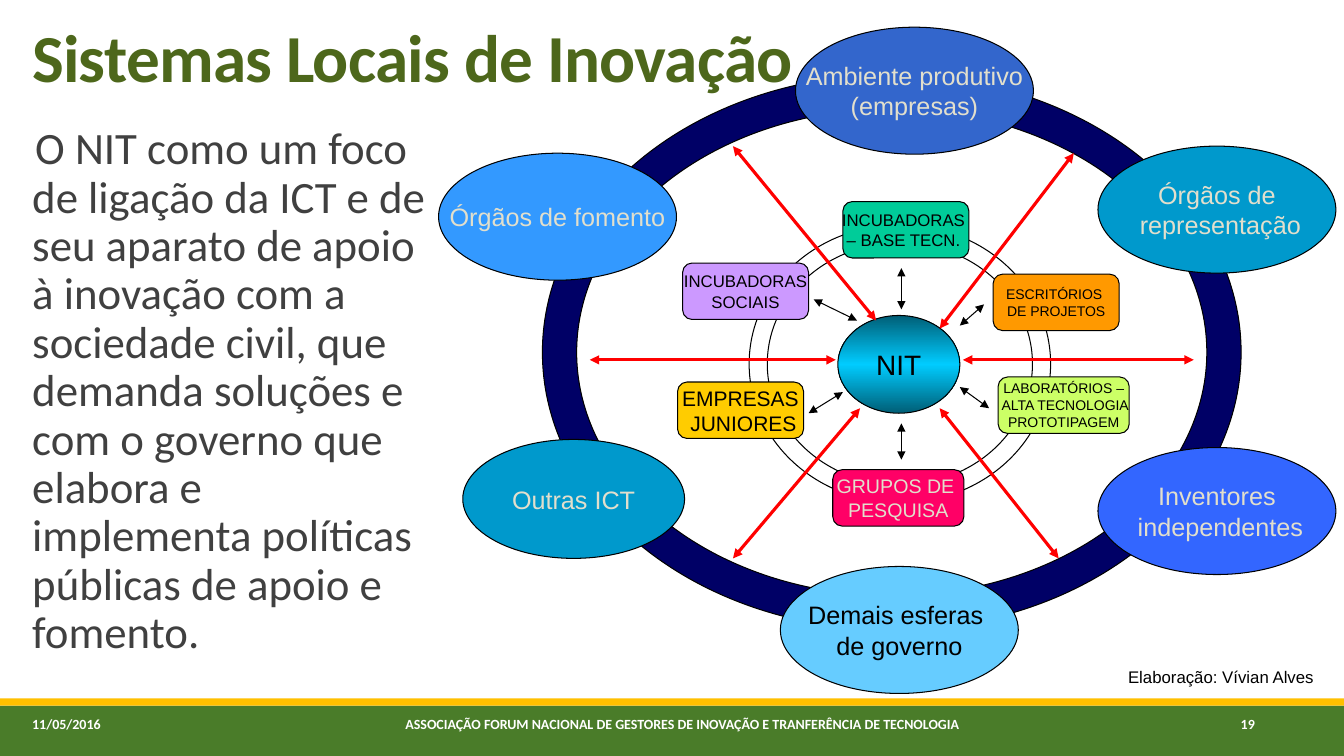
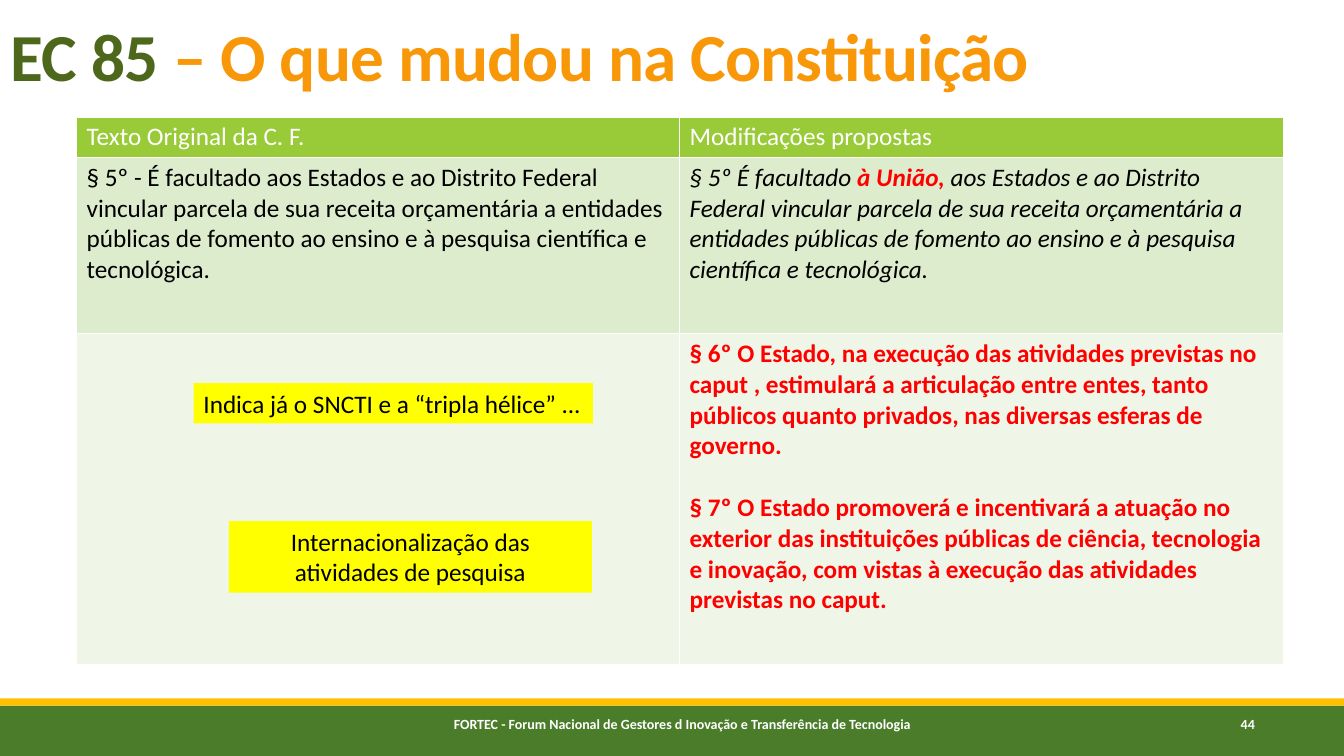
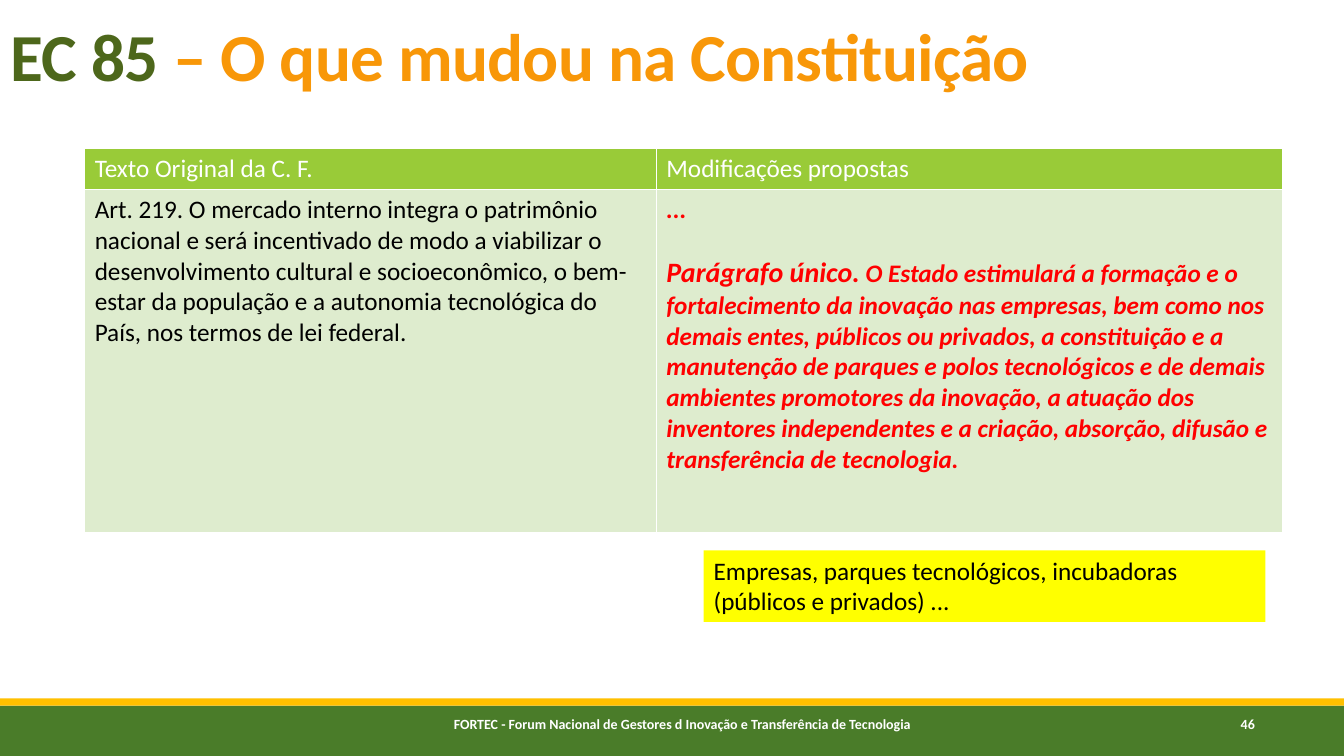
import copy

import pptx
import pptx.util
import pptx.dml.color
import pptx.enum.shapes
import pptx.enum.text
import pptx.oxml
import pptx.oxml.ns
from pptx.util import Inches

RGBColor = pptx.dml.color.RGBColor
SHAPE = pptx.enum.shapes.MSO_SHAPE
ALIGN = pptx.enum.text.PP_ALIGN
ANCHOR = pptx.enum.text.MSO_ANCHOR
NS = pptx.oxml.ns.nsdecls("a")

WHITE = RGBColor(0xFF, 0xFF, 0xFF)
BLACK = RGBColor(0, 0, 0)
RED = RGBColor(0xFF, 0, 0)
YELLOW = RGBColor(0xFF, 0xFF, 0)
GRAY = RGBColor(0x40, 0x40, 0x40)
CREAM = RGBColor(0xE2, 0xDF, 0xCC)
BAND_GREEN = RGBColor(0x4A, 0x7C, 0x29)
BAND_GOLD = RGBColor(0xFF, 0xC0, 0)
TITLE_GREEN = RGBColor(0x4D, 0x67, 0x1B)
TITLE_ORANGE = RGBColor(0xF8, 0x97, 0x08)
HEADER_GREEN = RGBColor(0x99, 0xCB, 0x38)
ROW_GREENS = (RGBColor(0xDE, 0xEC, 0xCE), RGBColor(0xEF, 0xF6, 0xE8))
NAVY = RGBColor(0, 0, 0x66)
TEAL = RGBColor(0, 0x5E, 0x76)
CYAN = RGBColor(0, 0xCC, 0xFF)
OCEAN = RGBColor(0, 0x99, 0xCC)
ROYAL = RGBColor(0x33, 0x66, 0xCC)
AZURE = RGBColor(0x33, 0x99, 0xFF)
SKY = RGBColor(0x66, 0xCC, 0xFF)
INDIGO = RGBColor(0x33, 0x66, 0xFF)
PINK = RGBColor(0xFF, 0, 0x66)
MINT = RGBColor(0, 0xCC, 0x99)
LILAC = RGBColor(0xCC, 0x99, 0xFF)
LIME = RGBColor(0xCC, 0xFF, 0x66)
ORANGE = RGBColor(0xFF, 0x99, 0)
AMBER = RGBColor(0xFF, 0xCC, 0)

FORTEC = "FORTEC - Forum Nacional de Gestores d Inovação e Transferência de Tecnologia"
HEADERS = ["Texto Original da C. F.", "Modificações propostas"]


def write(tf, paras, align=ALIGN.LEFT, line=None, gap=0, **fmt):
    for i, runs in enumerate([paras] if isinstance(paras, str) else paras):
        p = tf.paragraphs[0] if i == 0 else tf.add_paragraph()
        p.alignment = align
        if line:
            p.line_spacing = line
        if i and gap:
            p.space_before = pptx.util.Pt(gap)
        for text, own in [(runs, {})] if isinstance(runs, str) else runs:
            look = {"size": 18, "color": BLACK, "font": "Calibri", **fmt, **own}
            r = p.add_run()
            r.text = text
            r.font.name = look["font"]
            r.font.size = pptx.util.Pt(look["size"])
            r.font.color.rgb = look["color"]
            r.font.bold = look.get("bold", False)
            r.font.italic = look.get("italic", False)
            if "spacing" in look:
                r.font._element.set("spc", str(look["spacing"]))


def add_text(s, at, paras, anchor=ANCHOR.TOP, **fmt):
    tf = s.shapes.add_textbox(*map(Inches, at)).text_frame
    tf.word_wrap = True
    tf.vertical_anchor = anchor
    write(tf, paras, **fmt)
    return tf


def add_box(s, kind, at, fill, outline=None):
    sp = s.shapes.add_shape(kind, *map(Inches, at))
    sp.shadow.inherit = False
    if fill is None:
        sp.fill.background()
    else:
        sp.fill.solid()
        sp.fill.fore_color.rgb = fill
    if outline is None:
        sp.line.fill.background()
    else:
        sp.line.color.rgb = outline
        sp.line.width = pptx.util.Pt(0.75)
    return sp


def add_ring(s, at, thickness, fill):
    sp = add_box(s, SHAPE.DONUT, at, fill, BLACK)
    sp.adjustments[0] = thickness / min(at[2:])


def add_node(s, kind, at, fill, lines, size, color=BLACK):
    sp = add_box(s, kind, at, fill, BLACK)
    sp.text_frame.word_wrap = False
    sp.text_frame.vertical_anchor = ANCHOR.MIDDLE
    write(sp.text_frame, lines, align=ALIGN.CENTER, size=size, color=color, font="Arial")
    return sp


def add_note(s, at, text, align=ALIGN.LEFT):
    tf = add_box(s, SHAPE.RECTANGLE, at, YELLOW).text_frame
    tf.word_wrap = True
    tf.vertical_anchor = ANCHOR.TOP
    write(tf, text, align=align)


def add_arrow(s, x1, y1, x2, y2, color, width):
    c = s.shapes.add_connector(pptx.enum.shapes.MSO_CONNECTOR.STRAIGHT,
                               *map(Inches, (x1, y1, x2, y2)))
    c.line.color.rgb = color
    c.line.width = pptx.util.Pt(width)
    ln = c.line._get_or_add_ln()
    for end in ("headEnd", "tailEnd"):
        ln.append(pptx.oxml.parse_xml(f"<a:{end} {NS} type='triangle'/>"))
    c._element.spPr.append(pptx.oxml.parse_xml(f"<a:effectLst {NS}/>"))


def add_hub(s):
    sp = add_node(s, SHAPE.OVAL, (8.31, 3.13, 1.21, 0.97), CYAN, "NIT", 20)
    sp.fill.gradient()
    sp.fill.gradient_angle = 90
    gs_list = sp._element.spPr.find(".//" + pptx.oxml.ns.qn("a:gsLst"))
    gs_list.append(copy.deepcopy(gs_list[-1]))
    for stop, pos, color in zip(sp.fill.gradient_stops, (0, 0.5, 1), (TEAL, CYAN, TEAL)):
        stop.position = pos
        stop.color.rgb = color


def add_table(s, left, top, cols, rows, cells):
    table = s.shapes.add_table(len(rows), len(cols), Inches(left), Inches(top),
                               Inches(sum(cols)), Inches(sum(rows))).table
    for i, w in enumerate(cols):
        table.columns[i].width = Inches(w)
    for i, h in enumerate(rows):
        table.rows[i].height = Inches(h)
        for j, (paras, fmt) in enumerate(cells[i]):
            cell = table.cell(i, j)
            tc_pr = cell._tc.get_or_add_tcPr()
            for side in "LRTB":
                tc_pr.append(pptx.oxml.parse_xml(
                    f"<a:ln{side} {NS} w='{pptx.util.Pt(1)}'><a:solidFill>"
                    f"<a:srgbClr val='{WHITE}'/></a:solidFill></a:ln{side}>"))
            cell.fill.solid()
            cell.fill.fore_color.rgb = ROW_GREENS[i - 1] if i else HEADER_GREEN
            if paras:
                write(cell.text_frame, paras, gap=22, **fmt)


def add_title(s, at, runs):
    add_text(s, at, [runs], anchor=ANCHOR.BOTTOM, line=0.85, size=48, bold=True,
             color=TITLE_GREEN, spacing=-50)


def new_slide(prs, footer, number, date=None):
    s = prs.slides.add_slide(prs.slide_layouts[6])
    add_box(s, SHAPE.RECTANGLE, (0, 7, 13.33, 0.5), BAND_GREEN)
    add_box(s, SHAPE.RECTANGLE, (0, 6.93, 13.33, 0.07), BAND_GOLD)
    look = {"size": 10, "bold": True, "color": WHITE}
    if date:
        add_text(s, (0.22, 7.05, 2.59, 0.4), date, **look)
    add_text(s, (2.92, 7.05, 7.69, 0.4), footer, align=ALIGN.CENTER, **look)
    add_text(s, (11.65, 7.05, 1.45, 0.4), number, align=ALIGN.CENTER, **look)
    return s


def systems_slide(prs):
    s = new_slide(prs, "ASSOCIAÇÃO FORUM NACIONAL DE GESTORES DE INOVAÇÃO E "
                  "TRANFERÊNCIA DE TECNOLOGIA", "19", "11/05/2016")
    add_title(s, (0.22, 0.14, 11.98, 0.86), "Sistemas Locais de Inovação")
    tf = add_text(s, (0.22, 1.2, 4.03, 5.53),
                  "O NIT como um foco de ligação da ICT e de seu aparato de apoio à inovação "
                  "com a sociedade civil, que demanda soluções e com o governo que elabora e "
                  "implementa políticas públicas de apoio e fomento.",
                  line=0.9, size=32, color=GRAY)
    tf.margin_left = tf.margin_right = 0
    p_pr = tf.paragraphs[0]._p.get_or_add_pPr()
    p_pr.set("marL", str(Inches(0.1)))
    p_pr.set("indent", str(Inches(0.03)))

    add_ring(s, (7.43, 2.23, 2.99, 2.76), 0.18, None)
    add_ring(s, (5.38, 0.74, 6.93, 5.51), 0.34, NAVY)

    for x, y, w, fill, lines, size, color in (
            (8.26, 4.66, 1.3, PINK, ["GRUPOS DE ", "PESQUISA"], 14, CREAM),
            (8.36, 2, 1.25, MINT, ["INCUBADORAS ", "– BASE TECN. "], 12, BLACK),
            (6.77, 2.61, 1.25, LILAC, ["INCUBADORAS", "SOCIAIS"], 12, BLACK),
            (9.9, 3.74, 1.3, LIME,
             ["LABORATÓRIOS –", " ALTA TECNOLOGIA", " PROTOTIPAGEM "], 10, BLACK),
            (9.85, 2.72, 1.25, ORANGE, ["ESCRITÓRIOS ", "DE PROJETOS"], 10, BLACK),
            (6.72, 3.79, 1.25, AMBER, ["EMPRESAS", " JUNIORES"], 15, BLACK)):
        add_node(s, SHAPE.ROUNDED_RECTANGLE, (x, y, w, 0.56), fill, lines, size, color)
    add_hub(s)
    for ends in ((8.94, 2.66, 8.94, 3.07), (9.52, 3.23, 9.76, 3.02),
                 (9.52, 3.84, 9.81, 4.05), (8.94, 4.2, 8.94, 4.56),
                 (8.02, 4.1, 8.36, 3.89), (8.07, 2.97, 8.5, 3.18)):
        add_arrow(s, *ends, BLACK, 0.75)

    big, small = (2.36, 1.26), (2.2, 1.18)
    for x, y, dims, fill, lines, color in (
            (7.89, 0.27, big, ROYAL, ["Ambiente produtivo", "(empresas)"], CREAM),
            (4.35, 1.52, big, AZURE, "Órgãos de fomento", CREAM),
            (7.74, 5.62, big, SKY, ["Demais esferas ", "de governo"], BLACK),
            (10.89, 4.44, big, INDIGO, ["Inventores", " independentes"], CREAM),
            (4.59, 4.36, small, OCEAN, "Outras ICT", CREAM),
            (10.89, 1.45, big, OCEAN, ["Órgãos de", " representação"], CREAM)):
        add_node(s, SHAPE.OVAL, (x, y, *dims), fill, lines, 18, color)
    for ends in ((7.27, 1.45, 8.69, 3.18), (9.32, 3.26, 10.65, 1.52),
                 (9.32, 4.05, 10.5, 5.54), (7.27, 5.54, 8.53, 4.05),
                 (9.55, 3.57, 11.84, 3.57), (5.85, 3.57, 8.29, 3.57)):
        add_arrow(s, *ends, RED, 2.25)
    add_text(s, (11.09, 6.57, 2.2, 0.3), "Elaboração: Vívian Alves", size=12, font="Arial")


def amendment_slide(prs, number, left, top, cols, rows, body):
    s = new_slide(prs, FORTEC, number)
    add_title(s, (0.01, 0, 12.73, 0.99),
              [("EC 85 ", {}), ("– O que mudou na Constituição", {"color": TITLE_ORANGE})])
    add_table(s, left, top, cols, rows, [[(h, {"color": WHITE}) for h in HEADERS], *body])
    return s


def main():
    prs = pptx.Presentation()
    prs.slide_width, prs.slide_height = Inches(13.33), Inches(7.5)
    systems_slide(prs)

    s = amendment_slide(prs, "44", 0.76, 1.16, (5.98, 5.99), (0.4, 1.75, 3.28), [
        [("§ 5º - É facultado aos Estados e ao Distrito Federal vincular parcela de sua "
          "receita orçamentária a entidades públicas de fomento ao ensino e à pesquisa "
          "científica e tecnológica.", {}),
         ([[("§ 5º É facultado ", {}),
            ("à União, ", {"color": RED, "bold": True}),
            ("aos Estados e ao Distrito Federal vincular parcela de sua receita "
             "orçamentária a entidades públicas de fomento ao ensino e à pesquisa "
             "científica e tecnológica.", {})]], {"italic": True})],
        [(None, {}),
         (["§ 6º O Estado, na execução das atividades previstas no caput , estimulará a "
           "articulação entre entes, tanto públicos quanto privados, nas diversas esferas "
           "de governo.",
           "§ 7º O Estado promoverá e incentivará a atuação no exterior das instituições "
           "públicas de ciência, tecnologia e inovação, com vistas à execução das "
           "atividades previstas no caput."], {"color": RED, "bold": True})]])
    add_note(s, (1.92, 3.8, 3.96, 0.4), "Indica já o SNCTI e a “tripla hélice” ...")
    add_note(s, (2.27, 5.17, 3.6, 0.71), "Internacionalização das atividades de pesquisa",
             ALIGN.CENTER)

    s = amendment_slide(prs, "46", 0.84, 1.47, (5.67, 6.21), (0.41, 3.4), [
        [("Art. 219. O mercado interno integra o patrimônio nacional e será incentivado de "
          "modo a viabilizar o desenvolvimento cultural e socioeconômico, o bem-estar da "
          "população e a autonomia tecnológica do País, nos termos de lei federal.", {}),
         (["...",
           [("Parágrafo único.", {"size": 20}),
            (" O Estado estimulará a formação e o fortalecimento da inovação nas empresas, "
             "bem como nos demais entes, públicos ou privados, a constituição e a manutenção "
             "de parques e polos tecnológicos e de demais ambientes promotores da inovação, "
             "a atuação dos inventores independentes e a criação, absorção, difusão e "
             "transferência de tecnologia.", {})]],
          {"color": RED, "bold": True, "italic": True})]])
    add_note(s, (6.98, 5.46, 5.57, 0.71),
             "Empresas, parques tecnológicos, incubadoras (públicos e privados) ...")
    prs.save("out.pptx")


if __name__ == "__main__":
    main()
